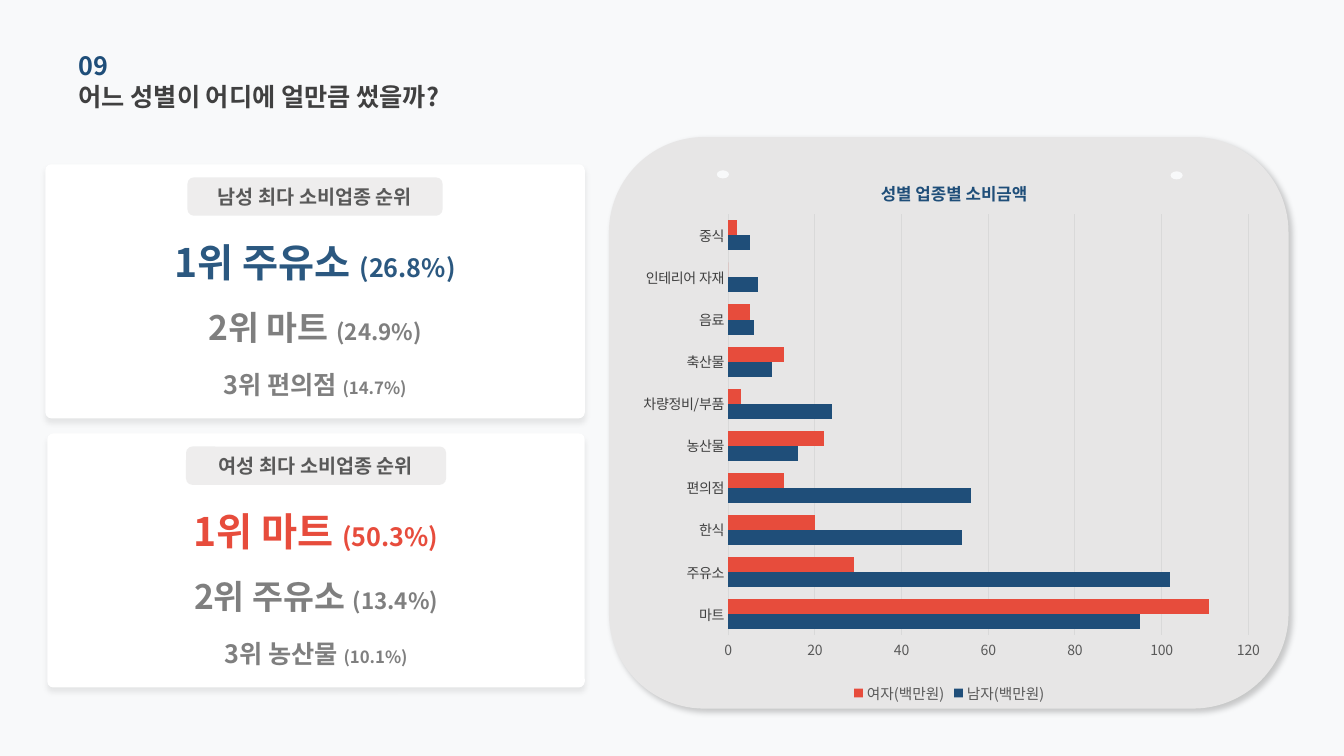
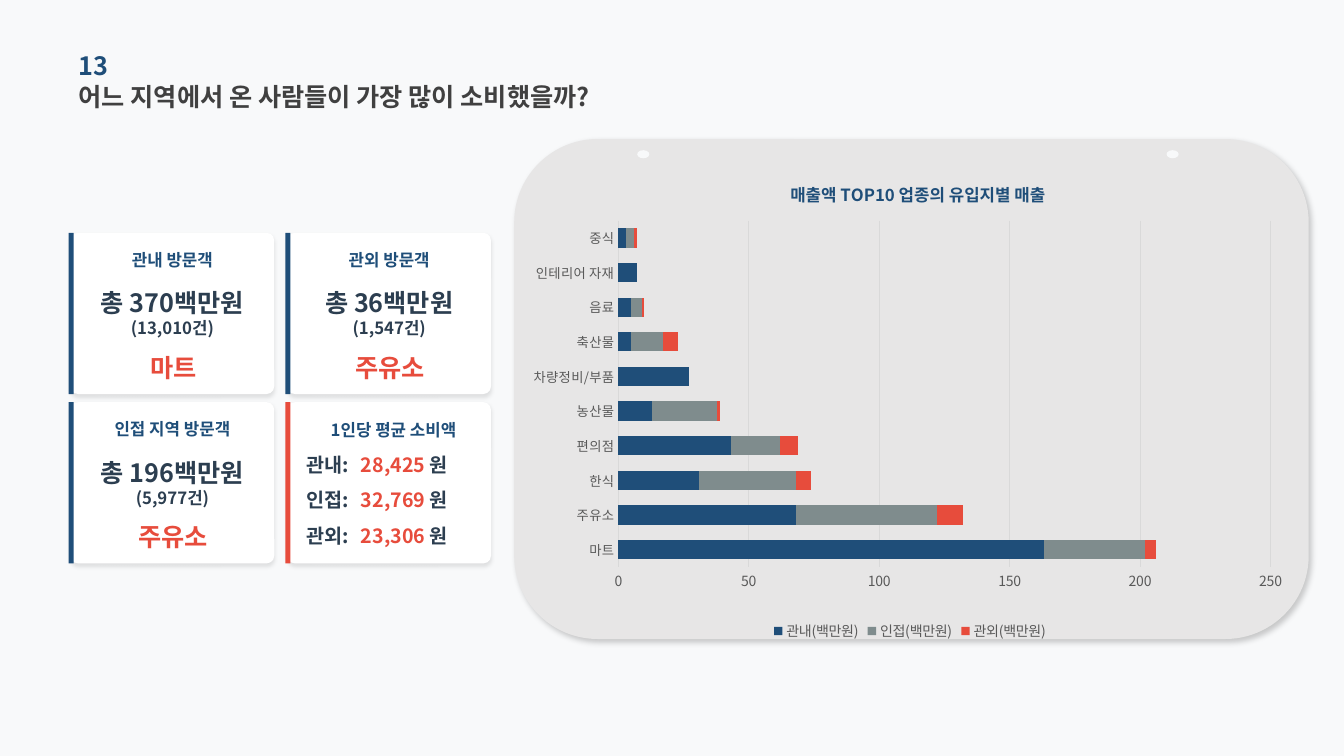
from lxml.etree import SubElement
from pptx import Presentation
from pptx.chart.data import CategoryChartData
from pptx.dml.color import RGBColor
from pptx.enum.chart import XL_CHART_TYPE, XL_LEGEND_POSITION, XL_TICK_MARK
from pptx.enum.shapes import MSO_SHAPE
from pptx.enum.text import MSO_ANCHOR, PP_ALIGN
from pptx.oxml import parse_xml
from pptx.oxml.ns import nsdecls, qn
from pptx.util import Inches, Pt

FONT = "Noto Sans CJK KR"
COLORS = {
    "background": "F8F9FA", "panel": "E7E6E6", "white": "FFFFFF",
    "pill": "D0CECE", "pill_text": "595959", "title": "404040",
    "navy": "1F4E79", "male": "2B5880", "red": "E74C3C", "muted": "7F7F7F",
    "ink": "2C3E50", "axis": "595959", "grid": "D9D9D9", "adjacent": "7F8C8D",
}
# Opacity in percent, blur and distance in points, direction in degrees
PANEL_SHADOW = (20, 4, 3, 45)
RANK_SHADOW = (8, 4, 3, 90)
VISITOR_SHADOW = (10, 3, 2, 90)

CATEGORIES = ["마트", "주유소", "한식", "편의점", "농산물", "차량정비/부품",
              "축산물", "음료", "인테리어 자재", "중식"]
GENDER_SERIES = [
    ("남자(백만원)", "navy", (95, 102, 54, 56, 16, 24, 10, 6, 7, 5)),
    ("여자(백만원)", "red", (111, 29, 20, 13, 22, 3, 13, 5, 0, 2)),
]
REGION_SERIES = [
    ("관내(백만원)", "navy", (163, 68, 31, 43, 13, 27, 5, 5, 7, 3)),
    ("인접(백만원)", "adjacent", (39, 54, 37, 19, 25, 0, 12, 4, 0, 3)),
    ("관외(백만원)", "red", (4, 10, 6, 7, 1, 0, 6, 1, 0, 1)),
]


def rgb(color):
    return RGBColor.from_string(COLORS[color])


def apply_format(target, values):
    for name, value in values.items():
        setattr(target, name, value)


def style_font(font, size, color, bold=False):
    """Set the font for both Latin and Korean letters."""
    apply_format(font, {"name": FONT, "size": Pt(size), "bold": bold})
    font.color.rgb = rgb(color)
    SubElement(font._rPr, qn("a:ea")).set("typeface", FONT)


def write_runs(frame, runs, align):
    """Write (text, size, color) runs; a "\\n" item breaks the line."""
    apply_format(frame, {
        "word_wrap": True, "vertical_anchor": MSO_ANCHOR.MIDDLE,
        "margin_left": 0, "margin_right": 0, "margin_top": 0, "margin_bottom": 0,
    })
    paragraph = frame.paragraphs[0]
    paragraph.alignment = align
    for item in runs:
        if item == "\n":
            paragraph.add_line_break()
            continue
        text, size, color = item
        run = paragraph.add_run()
        run.text = text
        style_font(run.font, size, color, bold=True)


def add_text(slide, box, *runs, align=PP_ALIGN.CENTER):
    text_box = slide.shapes.add_textbox(*map(Inches, box))
    write_runs(text_box.text_frame, runs, align)


def add_block(slide, kind, box, color, radius=None, shadow=None, opacity=None):
    block = slide.shapes.add_shape(kind, *map(Inches, box))
    block.shadow.inherit = False
    block.fill.solid()
    block.fill.fore_color.rgb = rgb(color)
    block.line.fill.background()
    if radius is not None:
        block.adjustments[0] = radius
    if opacity is not None:
        fill_color = block._element.spPr.find(f".//{qn('a:srgbClr')}")
        SubElement(fill_color, qn("a:alpha")).set("val", str(opacity * 1000))
    if shadow:
        alpha, blur, distance, angle = shadow
        block._element.spPr.find(qn("a:effectLst")).append(parse_xml(
            f'<a:outerShdw {nsdecls("a")} blurRad="{Pt(blur)}" dist="{Pt(distance)}"'
            f' dir="{angle * 60000}" algn="ctr" rotWithShape="0">'
            f'<a:srgbClr val="000000"><a:alpha val="{alpha * 1000}"/></a:srgbClr>'
            f'</a:outerShdw>'))
    return block


def add_page(prs, number, question):
    slide = prs.slides.add_slide(prs.slide_layouts[6])
    for top, text, color in ((0.75, question, "title"), (0.44, number, "navy")):
        add_text(slide, (0.78, top, 5.6, 0.41), (text, 18, color),
                 align=PP_ALIGN.LEFT)
    return slide


def add_panel(slide, box, pins):
    """Draw the grey chart panel with its small pin holes."""
    add_block(slide, MSO_SHAPE.ROUNDED_RECTANGLE, box, "panel", shadow=PANEL_SHADOW)
    for left, top in pins:
        add_block(slide, MSO_SHAPE.OVAL, (left, top, 0.12, 0.08), "background")


def add_rank_card(slide, box, pill_width, heading, color, ranks):
    left, top, width, _ = box
    add_block(slide, MSO_SHAPE.ROUNDED_RECTANGLE, box, "white", 0.023, RANK_SHADOW)
    center = left + width / 2
    pill = add_block(slide, MSO_SHAPE.ROUNDED_RECTANGLE,
                     (center - pill_width / 2, top + 0.13, pill_width, 0.38),
                     "pill", opacity=36)
    write_runs(pill.text_frame, [(heading, 14, "pill_text")], PP_ALIGN.CENTER)
    rows = ((0.73, 0.48, 28, 18, color), (1.19, 0.84, 24, 16, "muted"),
            (1.76, 0.84, 18, 12, "muted"))
    for place, ((name, share), row) in enumerate(zip(ranks, rows), 1):
        offset, height, name_size, share_size, row_color = row
        add_text(slide, (left, top + offset, width, height),
                 (f"{place}위 {name} ", name_size, row_color),
                 (f"({share}%)", share_size, row_color))


def add_accent_card(slide, left, top, accent):
    add_block(slide, MSO_SHAPE.ROUNDED_RECTANGLE, (left, top, 2.02, 1.6),
              "white", 0.048, VISITOR_SHADOW)
    add_block(slide, MSO_SHAPE.RECTANGLE, (left - 0.02, top, 0.05, 1.6), accent)


def add_visitor_card(slide, left, top, heading, amount, count, favorite):
    add_accent_card(slide, left, top, "navy")
    add_text(slide, (left, top + 0.11, 2.02, 0.31), (heading, 12, "navy"))
    add_text(slide, (left, top + 0.56, 2.02, 0.47),
             (f"총 {amount}백만원", 18, "ink"), "\n", (f"({count}건)", 12, "ink"))
    add_text(slide, (left + 0.02, top + 1.1, 2, 0.47), (favorite, 18, "red"))


def add_average_card(slide, left, top, averages):
    add_accent_card(slide, left, top, "red")
    add_text(slide, (left + 0.43, top + 0.15, 1.5, 0.25),
             ("1인당 평균 소비액", 12, "navy"), align=PP_ALIGN.LEFT)
    for row, (region, amount) in enumerate(averages):
        y = top + 0.47 + row * 0.35
        add_text(slide, (left + 0.19, y, 0.59, 0.3), (f"{region}:", 14, "ink"),
                 align=PP_ALIGN.LEFT)
        add_text(slide, (left + 0.73, y, 1.25, 0.3), (f"{amount} ", 14, "red"),
                 ("원", 14, "ink"), align=PP_ALIGN.LEFT)


def set_layout(parent, index, target="", **fractions):
    """Place a chart part by fractions of the chart's size."""
    for old in parent.findall(qn("c:layout")):
        parent.remove(old)
    layout_target = f'<c:layoutTarget val="{target}"/>' if target else ""
    modes = "".join(f'<c:{axis}Mode val="edge"/>' for axis in "xy")
    values = "".join(f'<c:{key} val="{value}"/>' for key, value in fractions.items())
    parent.insert(index, parse_xml(
        f'<c:layout {nsdecls("c")}><c:manualLayout>{layout_target}{modes}{values}'
        f'</c:manualLayout></c:layout>'))


def style_axes(chart, maximum, step, category_size, category_color):
    category, value = chart.category_axis, chart.value_axis
    apply_format(value, {"minimum_scale": 0, "maximum_scale": maximum,
                         "major_unit": step, "has_major_gridlines": True})
    for axis, size, color in ((category, category_size, category_color),
                              (value, 10, "axis")):
        apply_format(axis, {"major_tick_mark": XL_TICK_MARK.NONE,
                            "minor_tick_mark": XL_TICK_MARK.NONE})
        style_font(axis.tick_labels.font, size, color)
    value.format.line.fill.background()
    for line in (category.format.line, value.major_gridlines.format.line):
        line.width = Pt(0.75)
        line.color.rgb = rgb("grid")


def add_bar_chart(slide, kind, box, title, series, title_at, plot_box,
                  overlap, legend_size, **axes):
    data = CategoryChartData()
    data.categories = CATEGORIES
    for name, _, values in series:
        data.add_series(name, values)
    chart = slide.shapes.add_chart(kind, *map(Inches, box), data).chart
    apply_format(chart.font, {"name": "Calibri", "size": Pt(10)})

    title_frame = chart.chart_title.text_frame
    title_frame.text = title
    style_font(title_frame.paragraphs[0].runs[0].font, 12, "navy", bold=True)
    set_layout(chart.chart_title._element, 1, **dict(zip("xy", title_at)))
    set_layout(chart._chartSpace.chart.plotArea, 0, "inner",
               **dict(zip("xywh", plot_box)))

    chart.has_legend = True
    apply_format(chart.legend, {"position": XL_LEGEND_POSITION.BOTTOM,
                                "include_in_layout": False})
    style_font(chart.legend.font, legend_size, "axis")
    style_axes(chart, **axes)

    plot = chart.plots[0]
    apply_format(plot, {"gap_width": 80, "overlap": overlap,
                        "vary_by_categories": False})
    for bars, (_, color, _) in zip(plot.series, series):
        bars.format.fill.solid()
        bars.format.fill.fore_color.rgb = rgb(color)


def build_gender_slide(prs):
    slide = add_page(prs, "09", "어느 성별이 어디에 얼만큼 썼을까?")
    add_panel(slide, (6.04, 1.36, 6.74, 5.67), ((7.11, 1.69), (11.61, 1.7)))
    add_rank_card(slide, (0.45, 1.63, 5.35, 2.52), 2.53, "남성 최다 소비업종 순위",
                  "male", (("주유소", 26.8), ("마트", 24.9), ("편의점", 14.7)))
    add_rank_card(slide, (0.47, 4.3, 5.33, 2.52), 2.58, "여성 최다 소비업종 순위",
                  "red", (("마트", 50.3), ("주유소", 13.4), ("농산물", 10.1)))
    add_bar_chart(slide, XL_CHART_TYPE.BAR_CLUSTERED, (6.19, 1.52, 6.45, 5.5),
                  "성별 업종별 소비금액", GENDER_SERIES, title_at=(0.39, 0.04),
                  plot_box=(0.16, 0.11, 0.8, 0.76), overlap=0, legend_size=10.5,
                  maximum=120, step=20, category_size=10, category_color="title")


def build_region_slide(prs):
    slide = add_page(prs, "13", "어느 지역에서 온 사람들이 가장 많이 소비했을까?")
    add_panel(slide, (5.1, 1.38, 7.88, 4.96), ((6.32, 1.49), (11.57, 1.49)))
    columns, rows = (0.7, 2.85), (2.31, 3.99)
    add_visitor_card(slide, columns[0], rows[0], "관내 방문객", "370", "13,010", "마트")
    add_visitor_card(slide, columns[1], rows[0], "관외 방문객", "36", "1,547", "주유소")
    add_visitor_card(slide, columns[0], rows[1], "인접 지역 방문객", "196", "5,977",
                     "주유소")
    add_average_card(slide, columns[1], rows[1],
                     (("관내", "28,425"), ("인접", "32,769"), ("관외", "23,306")))
    add_bar_chart(slide, XL_CHART_TYPE.BAR_STACKED, (5.22, 1.56, 7.61, 4.84),
                  "매출액 TOP10 업종의 유입지별 매출", REGION_SERIES,
                  title_at=(0.34, 0.04), plot_box=(0.12, 0.13, 0.85, 0.71),
                  overlap=100, legend_size=10, maximum=250, step=50,
                  category_size=9.5, category_color="axis")


def main():
    prs = Presentation()
    apply_format(prs, {"slide_width": Inches(13.33), "slide_height": Inches(7.5)})
    backdrop = prs.slide_master.background.fill
    backdrop.solid()
    backdrop.fore_color.rgb = rgb("background")
    build_gender_slide(prs)
    build_region_slide(prs)
    prs.save("out.pptx")


if __name__ == "__main__":
    main()
